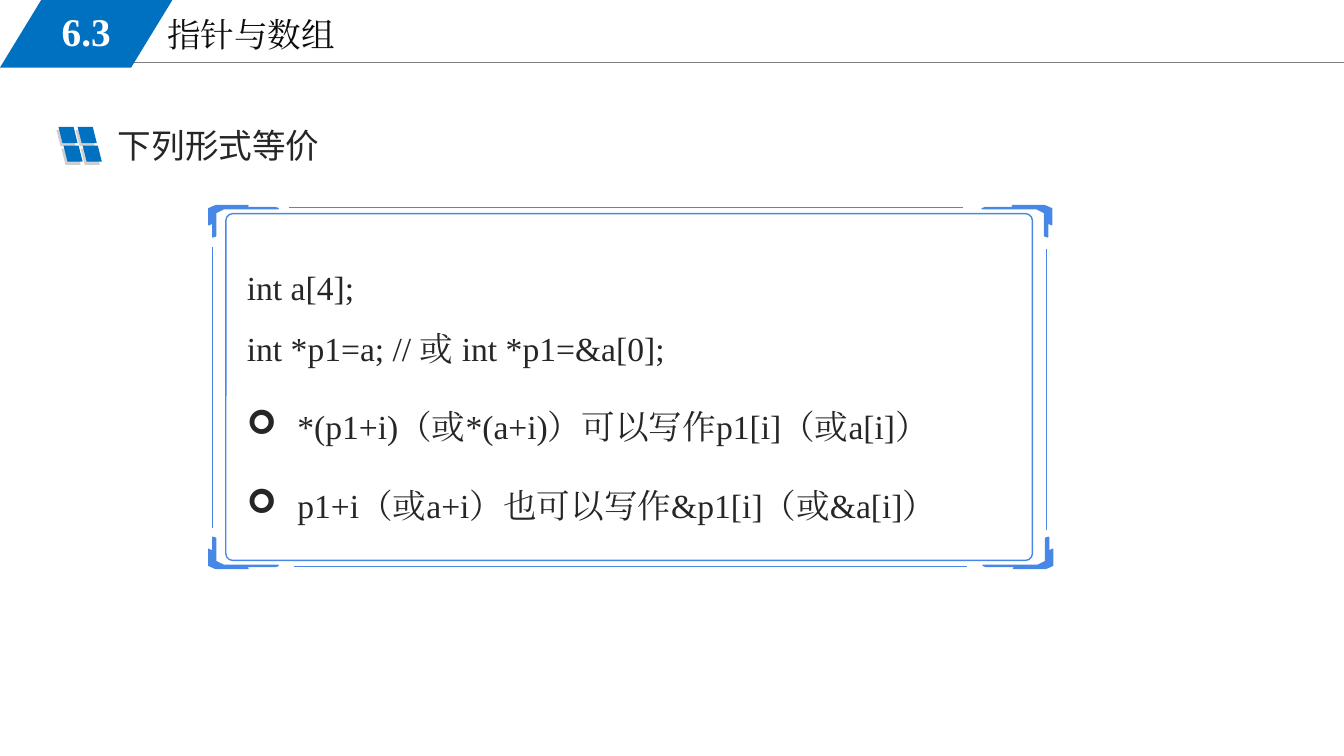
"""Build the slide on pointers and arrays with its framed code panel."""
from dataclasses import dataclass
from itertools import product

from lxml.etree import SubElement
from pptx import Presentation
from pptx.dml.color import RGBColor
from pptx.enum.shapes import MSO_CONNECTOR, MSO_SHAPE
from pptx.enum.text import MSO_ANCHOR, MSO_AUTO_SIZE, PP_ALIGN
from pptx.oxml.ns import qn
from pptx.shapes.autoshape import Shape
from pptx.slide import Slide
from pptx.util import Inches, Pt

BLUE = "0070C0"
FRAME_BLUE = "4788E6"
SHADOW_GRAY = "D0CECE"
TEXT_GRAY = "262626"
SERIF = "Times New Roman"
SANS = "Noto Sans CJK SC"

CORNER_OUTLINE = [
    (0.07, 0), (0.39, 0), (0.35, 0.02), (0.66, 0.02), (0.69, 0.03),
    (0.15, 0.03), (0.07, 0.07), (0.07, 0.3), (0.04, 0.31), (0.04, 0.17),
    (0, 0.19), (0, 0.03),
]


@dataclass(frozen=True)
class Box:
    left: float
    top: float
    width: float
    height: float


@dataclass(frozen=True)
class Line:
    start: tuple[float, float]
    end: tuple[float, float]
    color: str = FRAME_BLUE
    width: float = 1


@dataclass(frozen=True)
class Label:
    box: Box
    lines: list[str]
    font: str = SERIF
    size: float = 24
    color: str = TEXT_GRAY
    bold: bool = False
    align: PP_ALIGN = PP_ALIGN.LEFT
    anchor: MSO_ANCHOR = MSO_ANCHOR.TOP


@dataclass(frozen=True)
class Corner:
    x: float
    y: float
    x_direction: int
    y_direction: int


TITLE = Label(Box(1.56, 0.09, 5.67, 0.51), ["指针与数组"], color="0D0D0D")
SECTION = Label(Box(0.25, 0.02, 1.21, 0.58), ["6.3"], size=28, color="FFFFFF",
                bold=True, align=PP_ALIGN.CENTER, anchor=MSO_ANCHOR.MIDDLE)
HEADING = Label(Box(1.07, 1.19, 5.99, 0.5), ["下列形式等价"], font=SANS)
CODE = Label(Box(2.35, 2.4, 7.72, 2.93), [
    "int a[4];",
    "int *p1=a; // 或 int *p1=&a[0];",
    "*(p1+i)（或*(a+i)）可以写作p1[i]（或a[i]）",
    "p1+i（或a+i）也可以写作&p1[i]（或&a[i]）",
])
CODE_LINE_COUNT = 2

CORNERS = [
    Corner(2.07, 2.04, 1, 1),
    Corner(10.43, 2.04, -1, 1),
    Corner(2.07, 5.64, 1, -1),
    Corner(10.44, 5.64, -1, -1),
]
FRAME_LINES = [
    Line((2.87, 2.06), (9.55, 2.06)),
    Line((2.92, 5.62), (9.59, 5.62)),
    Line((2.11, 2.45), (2.11, 5.24)),
    Line((10.38, 2.47), (10.38, 5.26)),
]


def rgb(color: str) -> RGBColor:
    return RGBColor.from_string(color)


def add_preset(slide: Slide, preset: MSO_SHAPE, box: Box, fill: str = "",
               line: str = "", adjustment: float = 0.25) -> Shape:
    shape = slide.shapes.add_shape(preset, Inches(box.left), Inches(box.top),
                                   Inches(box.width), Inches(box.height))
    shape.adjustments[0] = adjustment
    style_shape(shape, fill, line)
    return shape


def style_shape(shape: Shape, fill: str, line: str) -> None:
    shape.shadow.inherit = False
    if fill:
        shape.fill.solid()
        shape.fill.fore_color.rgb = rgb(fill)
    else:
        shape.fill.background()
    if line:
        shape.line.color.rgb = rgb(line)
        shape.line.width = Pt(1)
    else:
        shape.line.fill.background()


def add_line(slide: Slide, line: Line) -> None:
    points = [Inches(value) for value in (*line.start, *line.end)]
    connector = slide.shapes.add_connector(MSO_CONNECTOR.STRAIGHT, *points)
    connector.line.color.rgb = rgb(line.color)
    connector.line.width = Pt(line.width)
    SubElement(connector._element.spPr, qn("a:effectLst"))


def add_label(slide: Slide, label: Label) -> Shape:
    box = label.box
    shape = slide.shapes.add_textbox(Inches(box.left), Inches(box.top),
                                     Inches(box.width), Inches(box.height))
    frame = shape.text_frame
    frame.word_wrap = True
    frame.auto_size = MSO_AUTO_SIZE.SHAPE_TO_FIT_TEXT
    frame.vertical_anchor = label.anchor
    frame.text = "\n".join(label.lines)
    for paragraph in frame.paragraphs:
        paragraph.alignment = label.align
        for run in paragraph.runs:
            run.font.name = label.font
            run.font.size = Pt(label.size)
            run.font.bold = label.bold
            run.font.color.rgb = rgb(label.color)
            east_asian = SubElement(run._r.get_or_add_rPr(), qn("a:ea"))
            east_asian.set("typeface", label.font)
    return shape


def add_code(slide: Slide) -> None:
    paragraphs = add_label(slide, CODE).text_frame.paragraphs
    for paragraph in paragraphs[:CODE_LINE_COUNT]:
        paragraph.alignment = PP_ALIGN.JUSTIFY
        paragraph.line_spacing = 1.5
    for paragraph in paragraphs[CODE_LINE_COUNT:]:
        paragraph.space_before = Pt(27.5)
        properties = paragraph._p.get_or_add_pPr()
        properties.set("marL", str(Inches(0.5)))
        properties.set("indent", str(-Inches(0.5)))
        bullet_color = SubElement(properties, qn("a:buClr"))
        SubElement(bullet_color, qn("a:srgbClr")).set("val", TEXT_GRAY)
        SubElement(properties, qn("a:buFont")).set("typeface", "Wingdings")
        SubElement(properties, qn("a:buChar")).set("char", "➢")


def add_tiles(slide: Slide, left: float, top: float, color: str) -> None:
    for column, row in product(range(2), range(2)):
        box = Box(left + 0.19 * column + 0.05 * row, top + 0.185 * row, 0.19, 0.16)
        tile = add_preset(slide, MSO_SHAPE.PARALLELOGRAM, box, color)
        tile._element.spPr.find(qn("a:xfrm")).set("flipH", "1")


def add_corner(slide: Slide, corner: Corner) -> None:
    points = [(Inches(corner.x + corner.x_direction * x),
               Inches(corner.y + corner.y_direction * y))
              for x, y in CORNER_OUTLINE]
    builder = slide.shapes.build_freeform(*points[0])
    builder.add_line_segments(points[1:], close=True)
    style_shape(builder.convert_to_shape(), FRAME_BLUE, FRAME_BLUE)


def main() -> None:
    presentation = Presentation()
    presentation.slide_width = Inches(13.33)
    presentation.slide_height = Inches(7.5)
    slide = presentation.slides.add_slide(presentation.slide_layouts[6])

    add_line(slide, Line((1.13, 0.62), (13.33, 0.62), "808080", 0.75))
    add_label(slide, TITLE)
    add_preset(slide, MSO_SHAPE.PARALLELOGRAM, Box(0, 0, 1.71, 0.67), BLUE,
               adjustment=0.61)
    add_label(slide, SECTION)
    add_tiles(slide, 0.56, 1.29, SHADOW_GRAY)
    add_tiles(slide, 0.58, 1.26, BLUE)
    add_label(slide, HEADING)
    add_preset(slide, MSO_SHAPE.ROUNDED_RECTANGLE, Box(2.24, 2.12, 8, 3.44),
               line=FRAME_BLUE, adjustment=0.02)
    for corner in CORNERS:
        add_corner(slide, corner)
    for line in FRAME_LINES:
        add_line(slide, line)
    add_code(slide)
    presentation.save("out.pptx")


if __name__ == "__main__":
    main()
